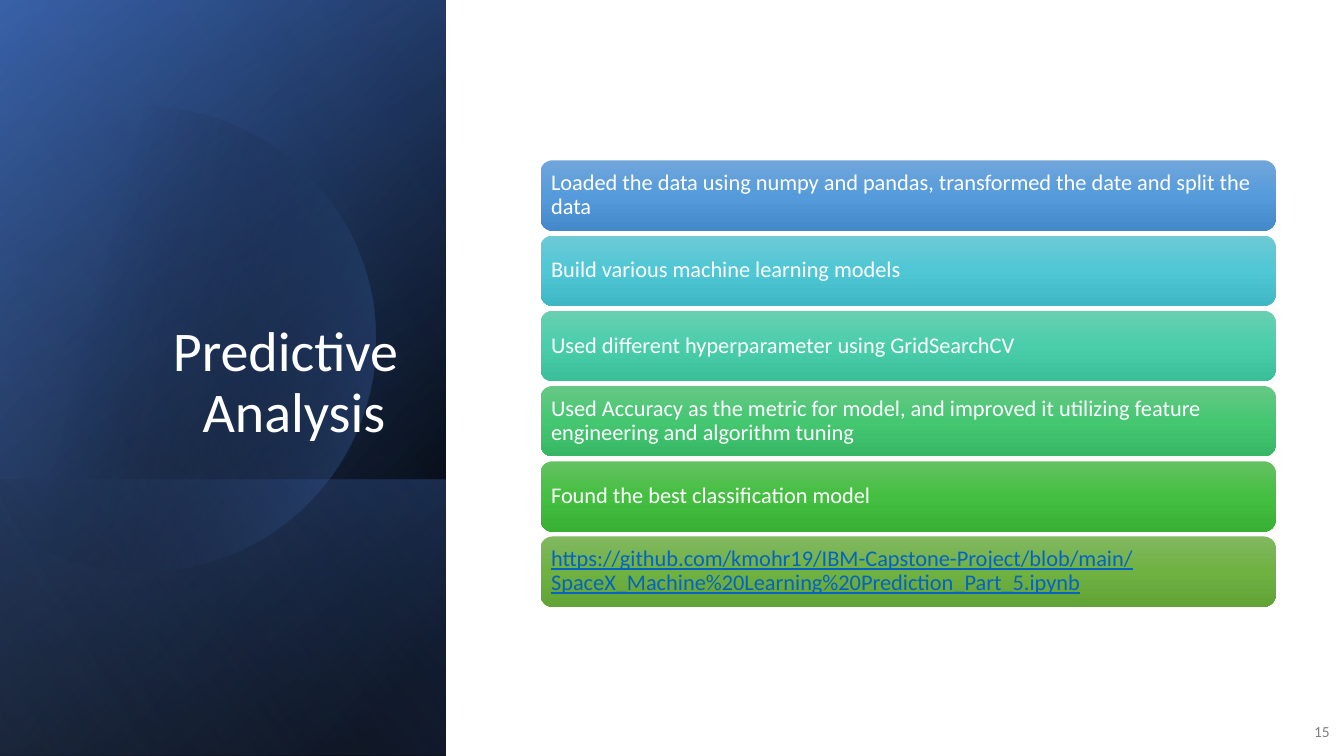
"""Build the Predictive Analysis slide: a dark gradient side panel and six step bars."""
from math import acos, cos, sin

from lxml import etree
from pptx import Presentation
from pptx.dml.color import RGBColor
from pptx.enum.shapes import MSO_SHAPE
from pptx.enum.text import MSO_ANCHOR, MSO_AUTO_SIZE, PP_ALIGN
from pptx.oxml.ns import qn
from pptx.util import Pt

RECTANGLE, ROUNDED = MSO_SHAPE.RECTANGLE, MSO_SHAPE.ROUNDED_RECTANGLE
LEFT, RIGHT = PP_ALIGN.LEFT, PP_ALIGN.RIGHT
MIDDLE, BOTTOM = MSO_ANCHOR.MIDDLE, MSO_ANCHOR.BOTTOM

FONT = "Calibri"
COLORS = {
    "black": "000000", "white": "FFFFFF", "gray": "808080", "link": "0563C1",
    "navy": "2F5597", "blue": "4472C4", "pale": "8FAADC",
}
TITLE = "Predictive Analysis "
PAGE_NUMBER = "15"
STEPS = [
    ("Loaded the data using numpy and pandas, transformed the date and split the data",
     ("71A6DB", "559BDB", "448ACA")),
    ("Build various machine learning models", ("6DCAD5", "4FC7D5", "3FB7C4")),
    ("Used different hyperparameter using GridSearchCV", ("69CFB1", "4ACEAA", "3BBE9A")),
    ("Used Accuracy as the metric for model, and improved it utilizing feature "
     "engineering and algorithm tuning", ("66C885", "45C772", "37B764")),
    ("Found the best classification model", ("64C162", "44BF41", "37B034")),
    ("https://github.com/kmohr19/IBM-Capstone-Project/blob/main/"
     "SpaceX_Machine%20Learning%20Prediction_Part_5.ipynb", ("81B861", "6FB242", "62A336")),
]

PAGE_W, PAGE_H = 960, 540
PANEL_W, LOWER_TOP = 318.5, 342.7
BASE_LAYERS = [
    (0, 220, [(8, "black", 100), (100, "navy", 100)]),
    (0, 240, [(0, "black", 0), (99, "blue", 46)]),
    (LOWER_TOP, 140, [(2, "blue", 29), (100, "black", 30)]),
]
DISC_X, DISC_Y, DISC_R, DISC_STEPS = 102, 242, 166, 120
DISC_ANGLE, DISC_STOPS = 14, [(29, "black", 0), (100, "blue", 43)]
TOP_LAYER = (0, 150, [(0, "black", 0), (99, "pale", 11)])
BAR_LEFT, BAR_TOP, BAR_W, BAR_H, BAR_PITCH = 386.2, 114.5, 525, 50.2, 53.74


def paint(shape, angle, stops):
    """Fill a shape with a clockwise-angled gradient and drop its line and shadow."""
    shape.shadow.inherit = False
    shape.line.fill.background()
    shape.fill.gradient()
    shape.fill.gradient_angle = 360 - angle
    stop_list = shape._element.spPr.find(qn("a:gradFill")).find(qn("a:gsLst"))
    for old_stop in list(stop_list):
        stop_list.remove(old_stop)
    for position, color, opacity in stops:
        stop = etree.SubElement(stop_list, qn("a:gs"), pos=str(position * 1000))
        tone = etree.SubElement(stop, qn("a:srgbClr"), val=COLORS.get(color, color))
        if opacity < 100:
            etree.SubElement(tone, qn("a:alpha"), val=str(opacity * 1000))


def write(shape, text, size, color, align, anchor, spacing=1.0):
    """Put one formatted paragraph in a shape."""
    frame = shape.text_frame
    frame.word_wrap = True
    frame.auto_size = MSO_AUTO_SIZE.NONE
    frame.vertical_anchor = anchor
    para = frame.paragraphs[0]
    para.text = text
    para.alignment = align
    para.line_spacing = spacing
    para.font.name = FONT
    para.font.size = Pt(size)
    para.font.color.rgb = RGBColor.from_string(COLORS[color])
    return para


def add_layer(page, top, angle, stops):
    """Add a gradient layer reaching from top to the foot of the side panel."""
    layer = page.shapes.add_shape(RECTANGLE, 0, Pt(top), Pt(PANEL_W), Pt(PAGE_H - top))
    paint(layer, angle, stops)


def add_disc(page):
    """Add the large circle cut off by the left slide edge."""
    reach = acos(-DISC_X / DISC_R)
    angles = [reach * (2 * i / DISC_STEPS - 1) for i in range(DISC_STEPS + 1)]
    points = [(Pt(DISC_X + DISC_R * cos(a)), Pt(DISC_Y + DISC_R * sin(a))) for a in angles]
    builder = page.shapes.build_freeform(*points[0])
    builder.add_line_segments(points[1:], close=True)
    paint(builder.convert_to_shape(), DISC_ANGLE, DISC_STOPS)


def add_bar(page, index, text, tones):
    """Add one step bar."""
    bar = page.shapes.add_shape(
        ROUNDED, Pt(BAR_LEFT), Pt(BAR_TOP + index * BAR_PITCH), Pt(BAR_W), Pt(BAR_H))
    paint(bar, 90, [(50 * i, tone, 100) for i, tone in enumerate(tones)])
    frame = bar.text_frame
    frame.margin_left = frame.margin_right = Pt(5)
    frame.margin_top = frame.margin_bottom = Pt(5)
    is_link = text.startswith("https")
    para = write(bar, text, 16, "link" if is_link else "white", LEFT, MIDDLE, 0.9)
    if is_link:
        para.font.underline = True


def main():
    """Assemble and save the slide."""
    deck = Presentation()
    deck.slide_width, deck.slide_height = Pt(PAGE_W), Pt(PAGE_H)
    page = deck.slides.add_slide(deck.slide_layouts[5])

    for layer in BASE_LAYERS:
        add_layer(page, *layer)
    add_disc(page)
    add_layer(page, *TOP_LAYER)

    title = page.shapes.title
    title.left, title.top, title.width, title.height = Pt(46), Pt(132.5), Pt(245.5), Pt(188.5)
    write(title, TITLE, 40, "white", RIGHT, BOTTOM, 0.9)
    page.shapes._spTree.append(title._element)

    number = page.shapes.add_textbox(Pt(921.6), Pt(508.3), Pt(35.3), Pt(28.8))
    write(number, PAGE_NUMBER, 11, "gray", RIGHT, MIDDLE)

    for index, (text, tones) in enumerate(STEPS):
        add_bar(page, index, text, tones)

    deck.save("out.pptx")


if __name__ == "__main__":
    main()
